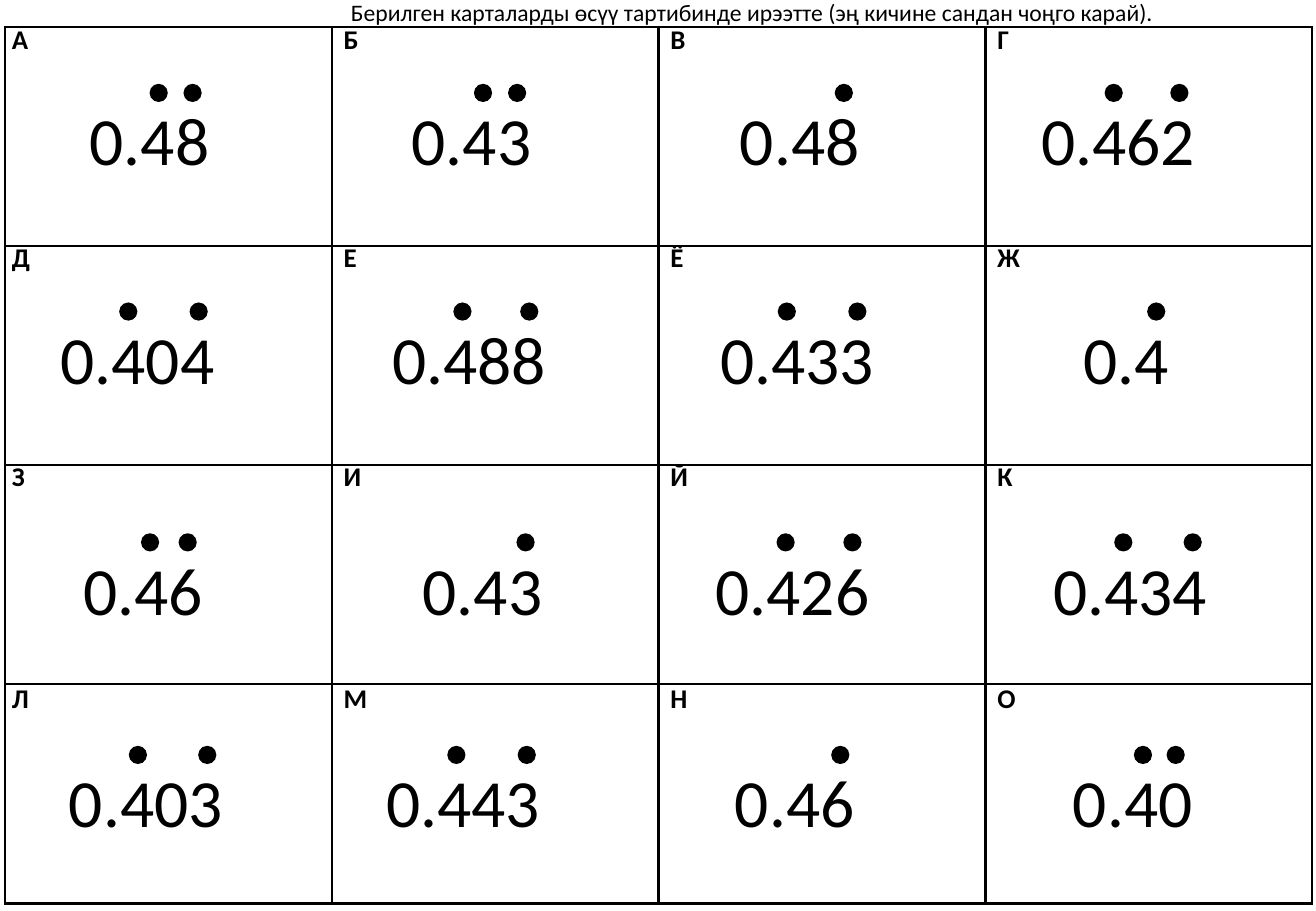
from dataclasses import dataclass

from lxml.etree import SubElement as Sub
from pptx import Presentation
from pptx.dml.color import RGBColor as Rgb
from pptx.enum.shapes import MSO_SHAPE as Geo
from pptx.enum.text import MSO_AUTO_SIZE as Fit
from pptx.oxml.ns import qn
from pptx.util import Pt


@dataclass(frozen=True)
class Theme:
    font: str = "Calibri"
    ink: str = "000000"
    paper: str = "FFFFFF"
    title: int = 14
    label: int = 16
    number: int = 40
    line: float = 1.5
    dot: float = 10.8


class Deck:
    """Draws number cards on one slide in a shared style."""

    def __init__(self, theme, width, height):
        self.theme = theme
        self.prs = Presentation()
        self.prs.slide_width, self.prs.slide_height = Pt(width), Pt(height)
        self.slide = self.prs.slides.add_slide(self.prs.slide_layouts[6])

    def text(self, words, left, top, width, height, size, bold=False, wrap=False, lead=None):
        box = self.slide.shapes.add_textbox(Pt(left), Pt(top), Pt(width), Pt(height))
        frame = box.text_frame
        frame.word_wrap = wrap
        frame.auto_size = Fit.SHAPE_TO_FIT_TEXT
        par = frame.paragraphs[0]
        if lead:
            par.line_spacing = Pt(lead)
        run = par.add_run()
        run.text = words
        run.font.name = self.theme.font
        run.font.size = Pt(size)
        run.font.bold = bold
        run.font.color.rgb = Rgb.from_string(self.theme.ink)

    def dot(self, left, top):
        size = Pt(self.theme.dot)
        dot = self.slide.shapes.add_shape(Geo.OVAL, Pt(left), Pt(top), size, size)
        dot.shadow.inherit = False
        dot.fill.solid()
        dot.fill.fore_color.rgb = Rgb.from_string(self.theme.ink)
        dot.line.fill.background()

    def border(self, cell):
        props = cell._tc.get_or_add_tcPr()
        for side in ("lnL", "lnR", "lnT", "lnB"):
            line = Sub(props, qn(f"a:{side}"), w=str(Pt(self.theme.line)))
            Sub(Sub(line, qn("a:solidFill")), qn("a:srgbClr"), val=self.theme.ink)

    def grid(self, rows, cols, left, top, width, height):
        table = self.slide.shapes.add_table(
            rows, cols, Pt(left), Pt(top), Pt(width), Pt(height)).table
        table.first_row = table.horz_banding = False
        for cell in table.iter_cells():
            self.border(cell)
            cell.fill.solid()
            cell.fill.fore_color.rgb = Rgb.from_string(self.theme.paper)

    def card(self, label, spot, number, left, top, dots):
        self.text(label, *spot, 21.6, 20.9, self.theme.label, bold=True, wrap=True, lead=12)
        wide = 20.4 * len(number) + 4.5
        self.text(number, left, top + 5, wide, 55.4, self.theme.number)
        for dot in dots:
            self.dot(dot, top)


COLS = (0, 196.6, 390.2, 583.9)
ROWS = ((17.3, 49.7), (146.2, 179.3), (275.8, 316.1), (407.5, 442.1))
CARDS = (
    (("А", "0.48", 46.1, (88.6, 108.7)), ("Б", "0.43", 236.9, (280.8, 301)),
     ("В", "0.48", 431.3, (494.6,)), ("Г", "0.462", 609.8, (654.5, 693.4))),
    (("Д", "0.404", 28.8, (70.6, 112.3)), ("Е", "0.488", 225.4, (268.6, 308.2)),
     ("Ё", "0.433", 419.8, (460.8, 502.6)), ("Ж", "0.4", 635, (679.7,))),
    (("З", "0.46", 42.5, (83.5, 105.8)), ("И", "0.43", 243.4, (306,)),
     ("Й", "0.426", 416.9, (460.1, 499.7)), ("К", "0.434", 617, (660.2, 701.3))),
    (("Л", "0.403", 33.8, (76.3, 117.4)), ("М", "0.443", 221.8, (265, 306.7)),
     ("Н", "0.46", 428.4, (492.5,)), ("О", "0.40", 628.6, (671.8, 691.2))),
)


def main():
    deck = Deck(Theme(), 779.76, 540)
    deck.grid(len(ROWS), len(COLS), 2.9, 15.8, 774.7, 519.8)
    deck.text("Берилген карталарды өсүү тартибинде ирээтте (эң кичине сандан чоңго карай).",
              200.9, -5, 494.6, 24.5, deck.theme.title)
    for (high, low), cards in zip(ROWS, CARDS):
        for col, (label, number, left, dots) in zip(COLS, cards):
            deck.card(label, (col, high), number, left, low, dots)
    deck.prs.save("out.pptx")


if __name__ == "__main__":
    main()
